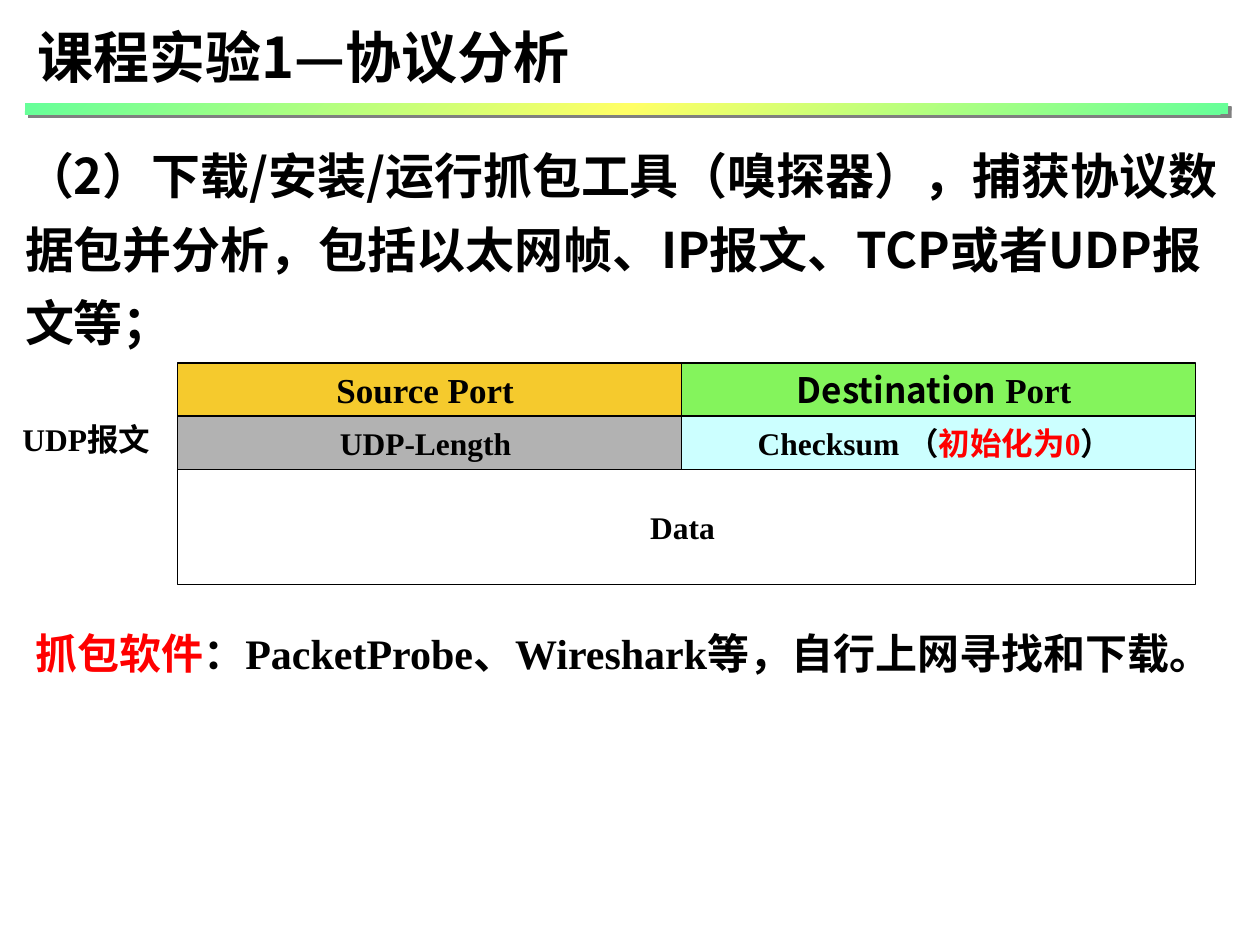
from dataclasses import dataclass

from lxml import etree
from pptx import Presentation
from pptx import util as u
from pptx.dml import color
from pptx.enum import shapes, text
from pptx.oxml import ns


@dataclass(frozen=True)
class Theme:
    """Fonts, type sizes in points and colours."""
    sans: str = "Noto Sans CJK SC"
    serif: str = "Times New Roman"
    title: int = 32
    body: int = 28
    tool: int = 24
    port: int = 20
    cell: int = 18
    ink: str = "000000"
    red: str = "FF0000"
    white: str = "FFFFFF"
    gold: str = "F5CA2D"
    lime: str = "84F45C"
    gray: str = "B2B2B2"
    aqua: str = "CCFFFF"
    mint: str = "66FF99"
    lemon: str = "FFFF66"
    shade: str = "808080"


T = Theme()
LEFT, MID = text.PP_ALIGN.LEFT, text.PP_ALIGN.CENTER
TOP, CORE = text.MSO_ANCHOR.TOP, text.MSO_ANCHOR.MIDDLE


def apply(item, form):
    """Set every attribute named in a dict of format values."""
    for name, value in form.items():
        setattr(item, name, value)


def sub(node, tag, **attrs):
    """Add a drawing element below a node."""
    return etree.SubElement(node, ns.qn(f"a:{tag}"), attrs)


def place(shape, box):
    """Move a shape to a box given in centimetres."""
    names = ("left", "top", "width", "height")
    apply(shape, dict(zip(names, map(u.Cm, box))))


def write(shape, runs, size, align=LEFT, anchor=TOP, **form):
    """Write runs of (words, font, colour) as one paragraph."""
    frame = shape.text_frame
    apply(frame, {"word_wrap": True, "vertical_anchor": anchor,
                  "auto_size": text.MSO_AUTO_SIZE.NONE})
    para = frame.paragraphs[0]
    apply(para, {"alignment": align, "space_before": u.Pt(0), **form})
    for words, face, ink in runs:
        run = para.add_run()
        run.text = words
        apply(run.font, {"size": u.Pt(size), "bold": True, "name": face})
        run.font.color.rgb = color.RGBColor.from_string(ink)
        sub(run.font._element, "ea", typeface=T.sans)
    return para


def block(slide, box):
    """Add a plain rectangle without shadow."""
    shape = slide.shapes.add_shape(
        shapes.MSO_SHAPE.RECTANGLE, *map(u.Cm, box))
    shape.shadow.inherit = False
    return shape


def cell(slide, box, fill, runs, size):
    """Draw one field of the datagram."""
    shape = block(slide, box)
    shape.fill.solid()
    shape.fill.fore_color.rgb = color.RGBColor.from_string(fill)
    shape.line.color.rgb = color.RGBColor.from_string(T.ink)
    shape.line.width = u.Pt(0.75)
    write(shape, runs, size, MID, CORE)


def label(slide, box, runs, size):
    """Add a centred text box."""
    write(slide.shapes.add_textbox(*map(u.Cm, box)), runs, size, MID)


def header(slide, box):
    """Place the title and the shaded rule beneath it."""
    x, y, w, h = box
    title = slide.shapes.title
    place(title, (x, y, 18.16, 1.63))
    write(title, [("课程实验1—协议分析", T.sans, T.ink)], T.title)
    rule = block(slide, (x, y + h - 0.23, w, 0.23))
    rule.line.fill.background()
    rule.fill.gradient()
    props = rule._element.spPr
    stops = props.find(".//" + ns.qn("a:gsLst"))
    stops.clear()
    for pos, tint in ((0, T.mint), (50, T.lemon), (100, T.mint)):
        stop = sub(stops, "gs", pos=str(pos * 1000))
        sub(stop, "srgbClr", val=tint)
    line = props.find(".//" + ns.qn("a:lin"))
    line.set("ang", "2700000")
    line.set("scaled", "1")
    glow = sub(props.find(ns.qn("a:effectLst")), "outerShdw",
               dist=str(u.Pt(2.8)), dir="2700000", algn="ctr", rotWithShape="0")
    sub(glow, "srgbClr", val=T.shade)


def task(slide, box):
    """Place the task statement in the body placeholder."""
    body = slide.placeholders[1]
    place(body, box)
    words = ("（2）下载/安装/运行抓包工具（嗅探器），捕获协议数据包并分析，"
             "包括以太网帧、IP报文、TCP或者UDP报文等；")
    para = write(body, [(words, T.sans, T.ink)], T.body, line_spacing=1.25)
    props = para._p.get_or_add_pPr()
    props.set("marL", "0")
    props.set("indent", "0")
    sub(props, "buNone")


def packet(slide, box):
    """Draw the datagram layout with its label at the left."""
    x, y, w, h = box
    side, row, half = 3.4, 1.07, 10.16
    wide = w - side
    start = x + side
    cell(slide, (start, y + 2 * row, wide, h - 2 * row), T.white,
         [("Data ", T.serif, T.ink)], T.cell)
    grid = (
        ((T.gold, [("Source Port ", T.serif, T.ink)]),
         (T.lime, [("Destination", T.sans, T.ink),
                   (" Port ", T.serif, T.ink)])),
        ((T.gray, [("UDP-Length ", T.serif, T.ink)]),
         (T.aqua, [("Checksum （", T.serif, T.ink),
                   ("初始化为0", T.serif, T.red),
                   ("） ", T.serif, T.ink)])),
    )
    spans = ((start, half), (start + half, wide - half))
    for i, (fields, size) in enumerate(zip(grid, (T.port, T.cell))):
        for (left, span), (fill, runs) in zip(spans, fields):
            cell(slide, (left, y + i * row, span, row), fill, runs, size)
    label(slide, (x, y + 1.02, 3.12, 1.02),
          [("UDP报文", T.serif, T.ink)], T.cell)


def tools(slide, box):
    """Place the note on capture software."""
    label(slide, box, [
        ("抓包软件", T.serif, T.red),
        ("：PacketProbe、Wireshark等，自行上网寻找和下载。",
         T.serif, T.ink)], T.tool)


def main():
    """Build and save the slide."""
    deck = Presentation()
    apply(deck, {"slide_width": u.Cm(25.4), "slide_height": u.Cm(19.05)})
    slide = deck.slides.add_slide(deck.slide_layouts[1])
    header(slide, (0.5, 0.33, 24.26, 1.98))
    task(slide, (0.25, 2.51, 24.94, 4.55))
    packet(slide, (0.18, 7.32, 23.92, 4.47))
    tools(slide, (0.41, 12.52, 24.31, 1.27))
    deck.save("out.pptx")


if __name__ == "__main__":
    main()
